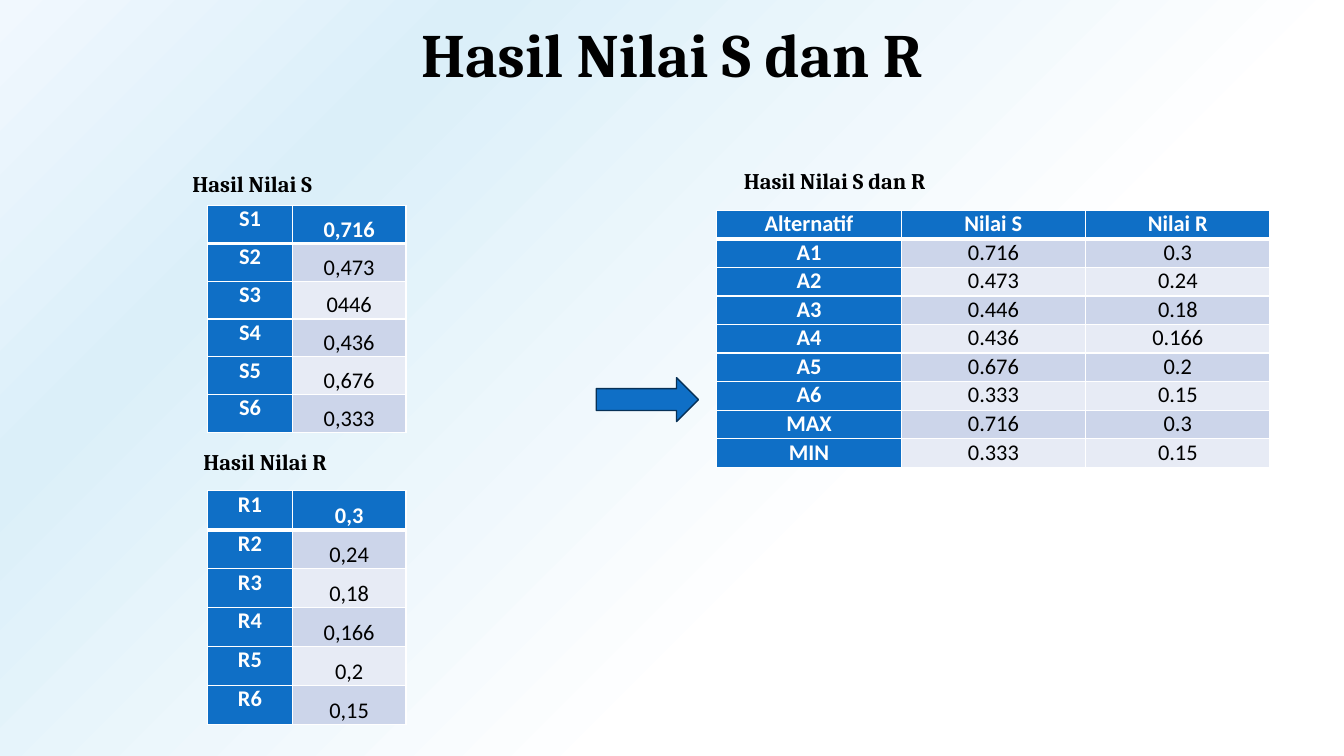
from lxml import etree
from pptx import Presentation
from pptx.dml.color import RGBColor
from pptx.enum.shapes import MSO_SHAPE
from pptx.enum.text import MSO_ANCHOR, PP_ALIGN
from pptx.oxml.ns import qn
from pptx.util import Pt

RIGHT_ARROW = MSO_SHAPE.RIGHT_ARROW
TOP, MIDDLE, BOTTOM = MSO_ANCHOR.TOP, MSO_ANCHOR.MIDDLE, MSO_ANCHOR.BOTTOM
LEFT, CENTER = PP_ALIGN.LEFT, PP_ALIGN.CENTER

BLUE, NAVY = "0F6FC6", "073157"
WHITE, BLACK = "FFFFFF", "000000"
BANDS = ("E7EBF5", "CCD5EA")
BACKDROP = ((0, "F1F8FE"), (23, "DBEFF9"), (65, WHITE))

S_VALUES = ("0,716", "0,473", "0446", "0,436", "0,676", "0,333")
R_VALUES = ("0,3", "0,24", "0,18", "0,166", "0,2", "0,15")
SUMMARY = (
    ("Alternatif", "Nilai S", "Nilai R"),
    ("A1", "0.716", "0.3"),
    ("A2", "0.473", "0.24"),
    ("A3", "0.446", "0.18"),
    ("A4", "0.436", "0.166"),
    ("A5", "0.676", "0.2"),
    ("A6", "0.333", "0.15"),
    ("MAX", "0.716", "0.3"),
    ("MIN", "0.333", "0.15"),
)


def color(hex_code):
    return RGBColor.from_string(hex_code)


def write(frame, text, size=16, font="Cambria", ink=BLACK, bold=True,
          align=LEFT, spacing=None, before=None):
    paragraph = frame.paragraphs[0]
    paragraph.alignment = align
    if spacing is not None:
        paragraph.line_spacing = spacing
    if before is not None:
        paragraph.space_before = Pt(before)
    run = paragraph.add_run()
    run.text = text
    run.font.size = Pt(size)
    run.font.name = font
    run.font.bold = bold
    run.font.color.rgb = color(ink)


def paint_backdrop(slide):
    fill = slide.background.fill
    fill.gradient()
    fill.gradient_angle = 315
    stops = next(slide.element.iter(qn("a:gsLst")))
    for stop in list(stops):
        stops.remove(stop)
    for percent, hex_code in BACKDROP:
        stop = etree.SubElement(stops, qn("a:gs"), pos=str(percent * 1000))
        etree.SubElement(stop, qn("a:srgbClr"), val=hex_code)


def add_heading(slide, box, text, anchor=TOP, **text_format):
    frame = slide.shapes.add_textbox(*map(Pt, box)).text_frame
    frame.word_wrap = True
    frame.vertical_anchor = anchor
    write(frame, text, spacing=0.9, **text_format)


def add_arrow(slide, box):
    arrow = slide.shapes.add_shape(RIGHT_ARROW, *map(Pt, box))
    arrow.shadow.inherit = False
    arrow.fill.solid()
    arrow.fill.fore_color.rgb = color(BLUE)
    arrow.line.color.rgb = color(NAVY)
    arrow.line.width = Pt(1)


def add_borders(cell, widths):
    properties = cell._tc.get_or_add_tcPr()
    for side, width in widths.items():
        line = etree.SubElement(properties, qn(f"a:ln{side}"), w=str(Pt(width)))
        fill = etree.SubElement(line, qn("a:solidFill"))
        etree.SubElement(fill, qn("a:srgbClr"), val=WHITE)


def add_scores(slide, box, rows, shares, value_anchor):
    left, top, width, height = box
    table = slide.shapes.add_table(len(rows), len(shares), *map(Pt, box)).table
    for column, share in zip(table.columns, shares):
        column.width = Pt(width * share / sum(shares))
    for r, row in enumerate(rows):
        table.rows[r].height = Pt(height / len(rows))
        for c, text in enumerate(row):
            cell = table.cell(r, c)
            label = r == 0 or c == 0
            widths = {"L": 1, "R": 1, "T": 1, "B": 3 if r == 0 else 1}
            if r == 1:
                del widths["T"]
            add_borders(cell, widths)
            cell.fill.solid()
            cell.fill.fore_color.rgb = color(BLUE if label else BANDS[r % 2])
            cell.margin_left = cell.margin_right = Pt(5)
            cell.margin_top = cell.margin_bottom = 0
            cell.vertical_anchor = TOP if c == 0 else value_anchor
            write(cell.text_frame, text, font="Calibri", bold=label,
                  ink=WHITE if label else BLACK, align=CENTER)


def add_value_list(slide, box, letter, values):
    rows = [(f"{letter}{i}", value) for i, value in enumerate(values, 1)]
    add_scores(slide, box, rows, (84, 113), BOTTOM)


def main():
    deck = Presentation()
    deck.slide_width, deck.slide_height = Pt(960), Pt(540)
    slide = deck.slides.add_slide(deck.slide_layouts[6])
    paint_backdrop(slide)

    add_heading(slide, (66, 10.8, 828, 60.5), "Hasil Nilai S dan R",
                anchor=MIDDLE, size=44, align=CENTER)
    add_heading(slide, (130.3, 120.2, 204, 60.5), "Hasil Nilai S", before=10)
    add_heading(slide, (138.2, 319, 204, 60.5), "Hasil Nilai R", before=10)
    add_arrow(slide, (425.9, 269.8, 73, 31.3))
    add_heading(slide, (524.2, 118.1, 204, 60.5), "Hasil Nilai S dan R", before=10)

    add_value_list(slide, (148.3, 146.9, 141.8, 162), "S", S_VALUES)
    add_value_list(slide, (148.3, 350.6, 141.8, 167), "R", R_VALUES)
    add_scores(slide, (512, 150.3, 395.2, 183.6), SUMMARY, (1, 1, 1), TOP)
    deck.save("out.pptx")


if __name__ == "__main__":
    main()
